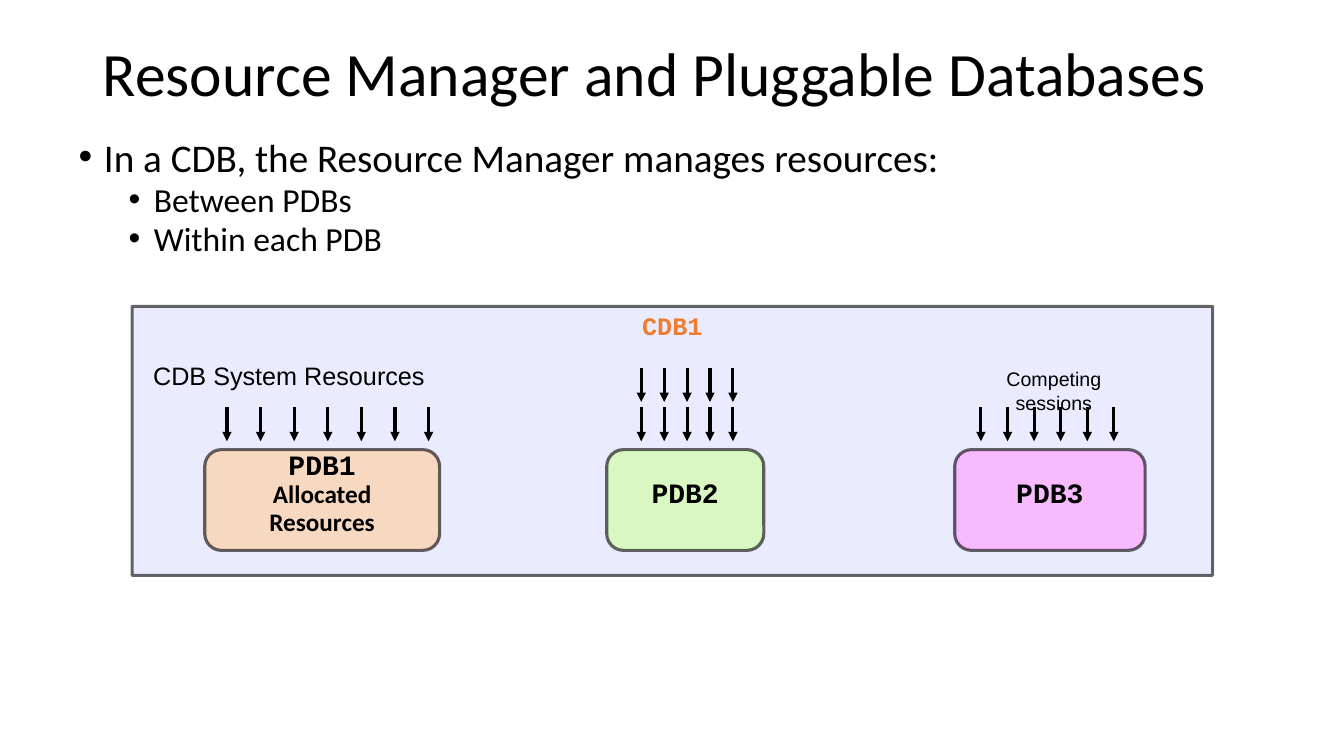
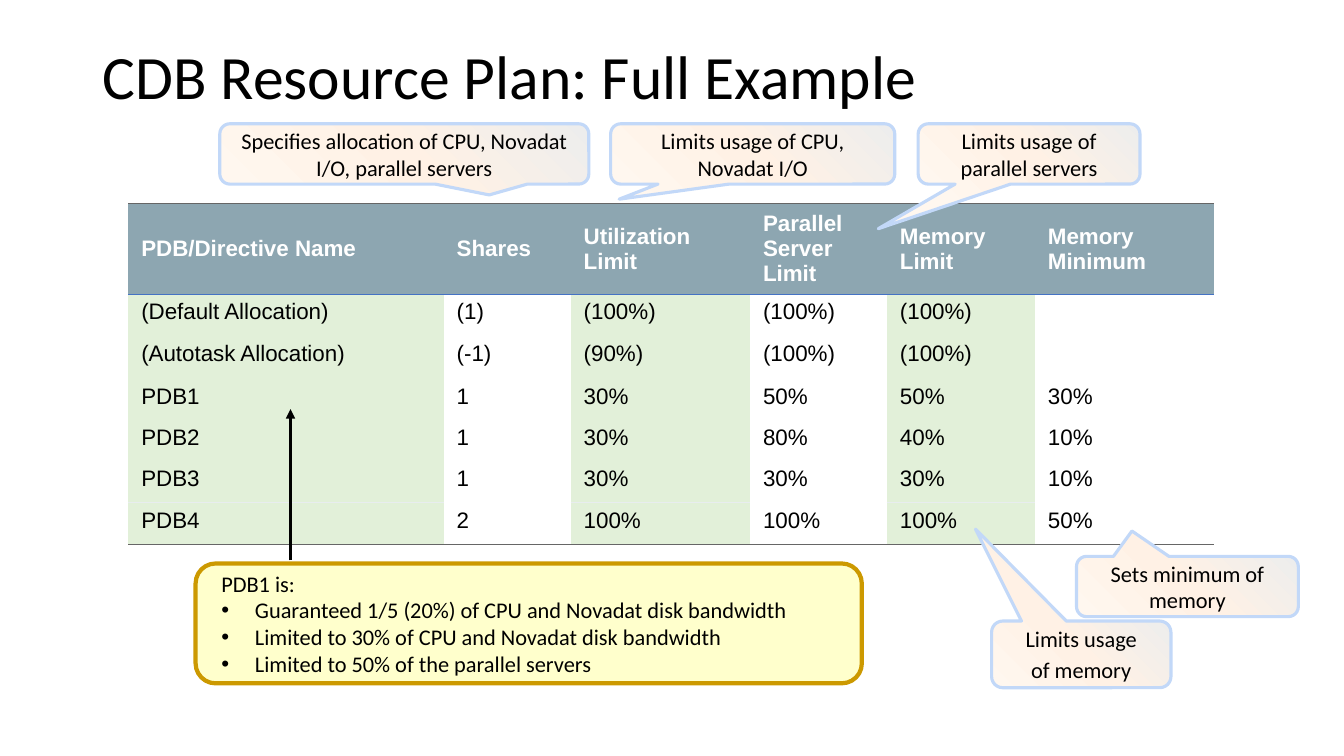
from copy import deepcopy
from dataclasses import dataclass

from lxml import etree
from pptx import Presentation
from pptx.dml.color import RGBColor
from pptx.enum.shapes import MSO_CONNECTOR, MSO_SHAPE
from pptx.enum.text import MSO_ANCHOR, PP_ALIGN
from pptx.oxml.ns import qn
from pptx.util import Cm, Pt

LEFT, CENTER = PP_ALIGN.LEFT, PP_ALIGN.CENTER
TOP, MIDDLE = MSO_ANCHOR.TOP, MSO_ANCHOR.MIDDLE
RECT, ROUND = MSO_SHAPE.RECTANGLE, MSO_SHAPE.ROUNDED_RECTANGLE
CALLOUT = MSO_SHAPE.ROUNDED_RECTANGULAR_CALLOUT
STRAIGHT = MSO_CONNECTOR.STRAIGHT
PLAIN = "{2D5ABB26-0587-4C30-8999-92F81FD0307C}"


@dataclass(frozen=True)
class Theme:
    main: str = "Calibri"
    sans: str = "Arial"
    mono: str = "Courier New"
    title: int = 44
    body: int = 28
    sub: int = 24
    name: int = 20
    label: int = 18
    note: int = 16
    small: int = 14
    stroke: float = 2.25
    ink: str = "000000"
    white: str = "FFFFFF"
    accent: str = "ED7D31"
    panel: str = "EBEBFF"
    peach: str = "F7D9C2"
    lime: str = "D9F7C2"
    pink: str = "F7BAFF"
    head: str = "8DA6B1"
    band: str = "E2F0D9"
    rule: str = "666666"
    blue: str = "4472C4"
    faint: str = "E8EDEF"
    cream: str = "FFFFCC"
    gold: str = "CC9900"
    edge: str = "C2D8F8"
    blend: tuple = ((0, "EDEDED"), (0.5, "FFF1E5"), (1, "FFF7EF"))


T = Theme()


def rgb(code):
    return RGBColor.from_string(code)


def style(part, face, size, color=T.ink, bold=False):
    for run in part.runs:
        font = run.font
        font.name, font.size, font.bold = face, Pt(size), bold
        font.color.rgb = rgb(color)


def write(frame, lines, face, size, color=T.ink, bold=False,
          align=LEFT, anchor=TOP, pad=(0, 0, 0, 0)):
    frame.word_wrap = True
    frame.vertical_anchor = anchor
    (frame.margin_left, frame.margin_top,
     frame.margin_right, frame.margin_bottom) = map(Cm, pad)
    frame.text = "\n".join(lines)
    for part in frame.paragraphs:
        part.alignment = align
        style(part, face, size, color, bold)
    return frame.paragraphs


def label(slide, box, lines, face, size, **look):
    frame = slide.shapes.add_textbox(*map(Cm, box)).text_frame
    return write(frame, lines, face, size, **look)


def bullet(part, left, hang):
    props = part._p.get_or_add_pPr()
    props.set("marL", str(Cm(left)))
    props.set("indent", str(-Cm(hang)))
    etree.SubElement(props, qn("a:buFont"), typeface=T.sans)
    etree.SubElement(props, qn("a:buChar"), char="•")


def block(slide, kind, box, fill, line, width=T.stroke, alpha=None):
    shape = slide.shapes.add_shape(kind, *map(Cm, box))
    shape.shadow.inherit = False
    if fill:
        shape.fill.solid()
        shape.fill.fore_color.rgb = rgb(fill)
    shape.line.color.rgb = rgb(line)
    shape.line.width = Pt(width)
    if alpha:
        tint = shape.line._ln.find(".//" + qn("a:srgbClr"))
        etree.SubElement(tint, qn("a:alpha"), val=str(alpha * 1000))
    return shape


def arrow(slide, x, start, end):
    link = slide.shapes.add_connector(
        STRAIGHT, Cm(x), Cm(start), Cm(x), Cm(end))
    link.line.color.rgb = rgb(T.ink)
    link.line.width = Pt(T.stroke)
    etree.SubElement(link.line._ln, qn("a:tailEnd"), type="triangle")
    etree.SubElement(link._element.spPr, qn("a:effectLst"))


def arrows(slide, left, top, span, count):
    for step in range(count):
        x = left + span * step / (count - 1)
        arrow(slide, x, top, top + 0.86)


def title(slide, text, top):
    part, = label(slide, (2.34, top, 29.2, 1.98), [text], T.main, T.title,
                  anchor=MIDDLE, pad=(0.25, 0.13, 0.25, 0.13))
    part.line_spacing = 0.9


def points(slide, box):
    parts = label(slide, box,
                  ["In a CDB, the Resource Manager manages resources:",
                   "Between PDBs", "Within each PDB"],
                  T.main, T.sub, pad=(0.25, 0.13, 0.25, 0.13))
    style(parts[0], T.main, T.body)
    for rank, part in enumerate(parts):
        bullet(part, 1.9 if rank else 0.64, 0.64)
        part.line_spacing = 0.8
        if rank:
            part.space_before = Pt(5)


def store(slide, box, fill, lines):
    shape = block(slide, ROUND, box, fill, T.ink, alpha=60)
    parts = write(shape.text_frame, lines, T.main, T.label, bold=True,
                  align=CENTER, anchor=MIDDLE, pad=(0, 0.2, 0, 0.1))
    style(parts[0], T.mono, T.name, bold=True)
    for rank, part in enumerate(parts):
        part.line_spacing = Pt(10)
        if rank:
            part.space_before = Pt(10)


def diagram(slide, box):
    left, top = box[:2]
    panel = block(slide, RECT, box, T.panel, T.ink, alpha=60)
    part, = write(panel.text_frame, ["CDB1"], T.mono, T.label, T.accent,
                  bold=True, align=CENTER, pad=(0, 0.5, 0, 0))
    part.line_spacing = Pt(10)
    label(slide, (left + 0.53, top + 1.37, 9.75, 0.97),
          ["CDB System Resources"], T.sans, T.label)
    for x, y, span, count in [(2.39, 2.54, 5.08, 7), (12.83, 1.55, 2.31, 5),
                              (12.83, 2.54, 2.31, 5), (21.39, 2.54, 3.35, 6)]:
        arrows(slide, left + x, top + y, span, count)
    label(slide, (left + 21.77, top + 1.4, 2.92, 1.45),
          ["Competing", "sessions"], T.sans, T.small, align=CENTER,
          pad=(0, 0.13, 0, 0.13))
    for x, width, fill, lines in [
            (1.83, 5.92, T.peach, ["PDB1", "Allocated", "Resources"]),
            (11.96, 3.96, T.lime, ["PDB2"]),
            (20.73, 4.8, T.pink, ["PDB3"])]:
        store(slide, (left + x, top + 3.61, width, 2.54), fill, lines)


def border(cell, sides):
    props = cell._tc.get_or_add_tcPr()
    for rank, (side, color) in enumerate(sides):
        line = etree.Element(qn("a:" + side), w=str(Pt(1)))
        fill = etree.SubElement(line, qn("a:solidFill"))
        etree.SubElement(fill, qn("a:srgbClr"), val=color)
        props.insert(rank, line)


def plan(slide, left, top):
    rows = [
        ["PDB/Directive Name", "Shares", "Utilization\nLimit",
         "Parallel\nServer\nLimit", "Memory\nLimit", "Memory\nMinimum"],
        ["(Default Allocation)", "(1)", "(100%)", "(100%)", "(100%)", ""],
        ["(Autotask Allocation)", "(-1)", "(90%)", "(100%)", "(100%)", ""],
        ["PDB1", "1", "30%", "50%", "50%", "30%"],
        ["PDB2", "1", "30%", "80%", "40%", "10%"],
        ["PDB3", "1", "30%", "30%", "30%", "10%"],
        ["PDB4", "2", "100%", "100%", "100%", "50%"],
    ]
    widths = [7.95, 3.2, 4.52, 3.45, 3.73, 4.52]
    heights = [2.29, 1.04, 1.09, 1.04, 1.04, 1.04, 1.04]
    grid = slide.shapes.add_table(
        len(rows), len(widths), Cm(left), Cm(top),
        Cm(sum(widths)), Cm(sum(heights))).table
    grid.first_row = grid.horz_banding = False
    grid._tbl.tblPr.find(qn("a:tableStyleId")).text = PLAIN
    for col, width in zip(grid.columns, widths):
        col.width = Cm(width)
    last = len(rows) - 1
    for r, row in enumerate(rows):
        grid.rows[r].height = Cm(heights[r])
        head = r == 0
        for c, text in enumerate(row):
            cell = grid.cell(r, c)
            write(cell.text_frame, text.split("\n"), T.sans, T.note,
                  T.white if head else T.ink, head)
            cell.margin_left = cell.margin_right = Cm(0.33)
            cell.margin_top = cell.margin_bottom = Cm(0.13)
            cell.vertical_anchor = MIDDLE if head else TOP
            tinted = c in (0, 2, 4)
            if head or tinted:
                cell.fill.solid()
                cell.fill.fore_color.rgb = rgb(T.head if head else T.band)
            else:
                cell.fill.background()
            if head:
                border(cell, [("lnT", T.rule), ("lnB", T.blue)])
            elif r == last:
                border(cell, [("lnT", T.faint if tinted else T.white),
                              ("lnB", T.rule)])


def callout(slide, box, tip, lines):
    shape = block(slide, CALLOUT, box, None, T.edge)
    for rank, value in enumerate(tip):
        shape.adjustments[rank] = value
    shape.fill.gradient()
    shape.fill.gradient_angle = 225
    stops = shape._element.spPr.find(".//" + qn("a:gsLst"))
    stops.append(deepcopy(stops[0]))
    for stop, (place, color) in zip(shape.fill.gradient_stops, T.blend):
        stop.position = place
        stop.color.rgb = rgb(color)
    parts = write(shape.text_frame, lines, T.main, T.note, align=CENTER,
                  anchor=MIDDLE, pad=(0.33, 0.18, 0.33, 0.18))
    for part in parts[1:]:
        part.space_before = Pt(3)


def note(slide, box):
    shape = block(slide, ROUND, box, T.cream, T.gold, 3)
    parts = write(shape.text_frame,
                  ["PDB1 is:",
                   "Guaranteed 1/5 (20%) of CPU and Novadat disk bandwidth",
                   "Limited to 30% of CPU and Novadat disk bandwidth",
                   "Limited to 50% of the parallel servers"],
                  T.main, T.note, anchor=MIDDLE, pad=(0.5, 0, 0, 0))
    for part in parts[1:]:
        bullet(part, 0.85, 0.85)
    left, top = box[:2]
    arrow(slide, left + 2.39, top - 0.08, top - 3.89)


def manager(slide):
    title(slide, "Resource Manager and Pluggable Databases", 0.94)
    points(slide, (1.73, 3.45, 30.4, 3.43))
    diagram(slide, (3.33, 7.72, 27.23, 6.78))


def example(slide):
    title(slide, "CDB Resource Plan: Full Example", 1.02)
    plan(slide, 3.23, 5.13)
    note(slide, (4.93, 14.2, 16.79, 3.02))
    for box, tip, lines in [
            ((5.54, 3.12, 9.3, 1.52), (0.23, 0.68),
             ["Specifies allocation of CPU, Novadat I/O, parallel servers"]),
            ((15.39, 3.12, 7.16, 1.52), (-0.47, 0.75),
             ["Limits usage of CPU, Novadat I/O"]),
            ((23.14, 3.12, 5.59, 1.52), (-0.68, 1.24),
             ["Limits usage of parallel servers"]),
            ((24.99, 15.65, 4.52, 1.68), (-0.59, -1.88),
             ["Limits usage", "of memory"]),
            ((27.13, 14.02, 5.59, 1.52), (-0.25, -0.92),
             ["Sets minimum of memory"])]:
        callout(slide, box, tip, lines)


def main():
    deck = Presentation()
    deck.slide_width, deck.slide_height = Cm(33.87), Cm(19.05)
    for build in (manager, example):
        build(deck.slides.add_slide(deck.slide_layouts[6]))
    deck.save("out.pptx")


if __name__ == "__main__":
    main()
